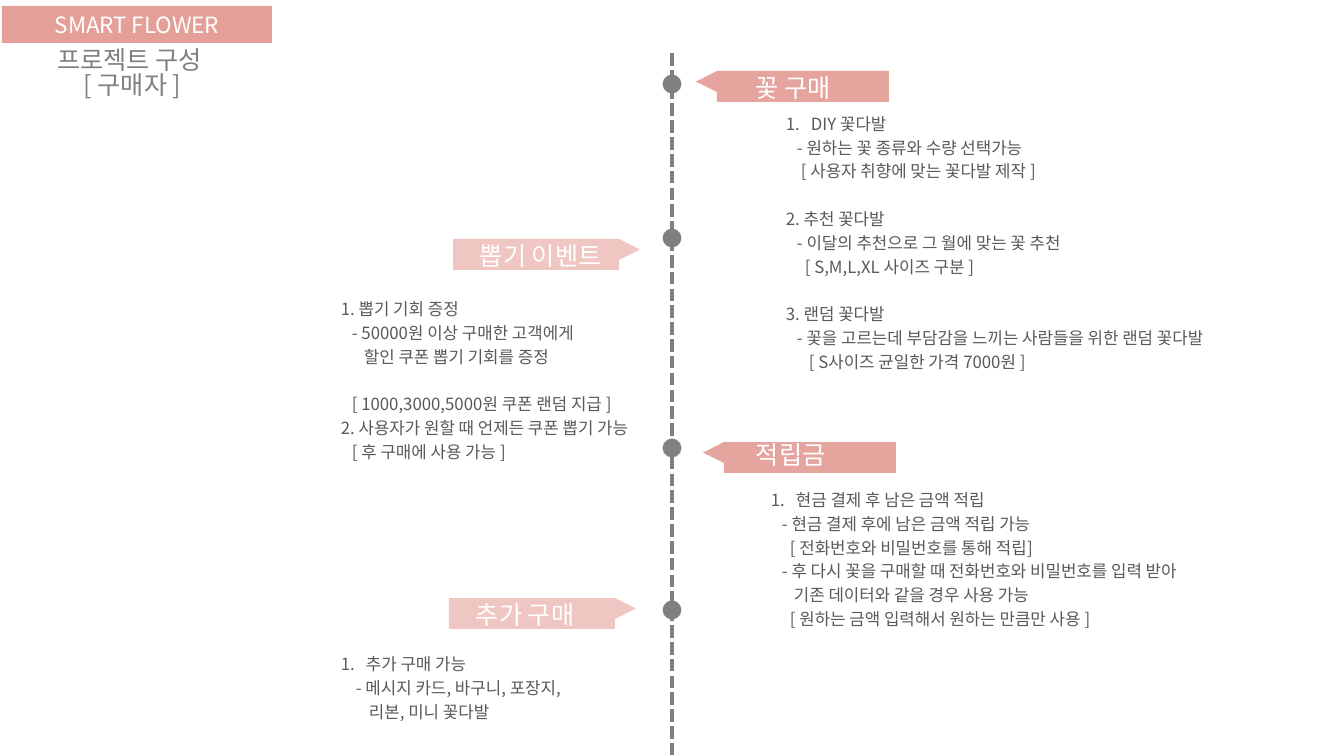
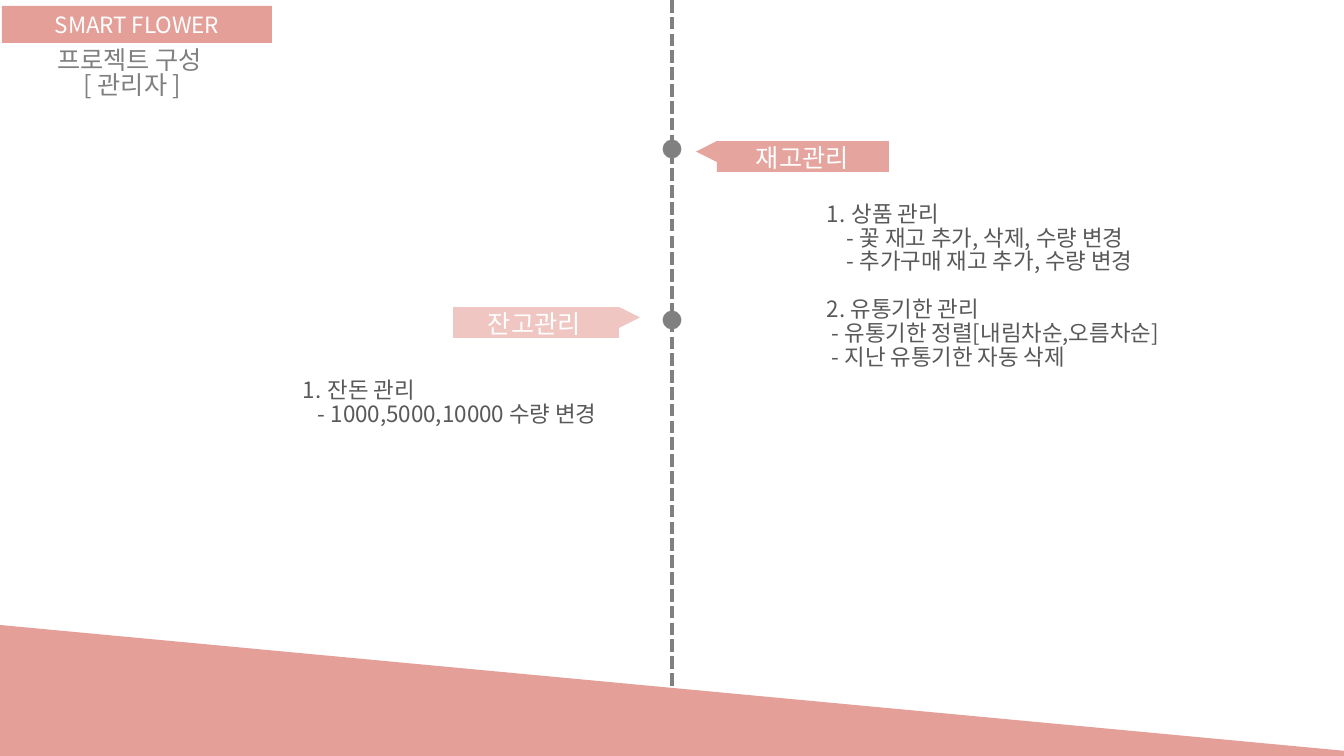
import collections

import pptx
import pptx.dml.color
import pptx.enum.dml
import pptx.enum.shapes
import pptx.enum.text
import pptx.oxml
import pptx.oxml.ns
import pptx.util

WIDTH, HEIGHT = 1344, 756
SCALE = 12192000 / WIDTH
TIMELINE_X = 672
FONT = "Noto Sans CJK KR"
COLORS = {
    "rose": "E4A098",
    "blush": "EFC6C1",
    "gray": "808080",
    "body": "595959",
    "white": "FFFFFF",
}
SHAPES = pptx.enum.shapes.MSO_SHAPE
ALIGN = pptx.enum.text.PP_ALIGN
ANCHOR = pptx.enum.text.MSO_ANCHOR
FIT = pptx.enum.text.MSO_AUTO_SIZE.SHAPE_TO_FIT_TEXT

FIXED_LINES = {"line_spacing": pptx.util.Pt(17)}
TITLE_LINES = {"alignment": ALIGN.CENTER, "line_spacing": 0.82}
BRAND_LINES = {"alignment": ALIGN.CENTER}

# indent shifts the first row only; numbered starts an automatic list; gap leaves a row free above
Line = collections.namedtuple("Line", "text indent numbered gap", defaults=(0, False, False))

PURCHASE = [
    Line("DIY 꽃다발", numbered=True),
    Line("- 원하는 꽃 종류와 수량 선택가능", 11),
    Line("[ 사용자 취향에 맞는 꽃다발 제작 ]", 15),
    Line("2. 추천 꽃다발", gap=True),
    Line("- 이달의 추천으로 그 월에 맞는 꽃 추천", 11),
    Line("[ S,M,L,XL 사이즈 구분 ]", 19),
    Line("3. 랜덤 꽃다발", gap=True),
    Line("- 꽃을 고르는데 부담감을 느끼는 사람들을 위한 랜덤 꽃다발", 11),
    Line("[ S사이즈 균일한 가격 7000원 ]", 23),
]
DRAW_EVENT = [
    Line("1. 뽑기 기회 증정"),
    Line("- 50000원 이상 구매한 고객에게", 11),
    Line("할인 쿠폰 뽑기 기회를 증정", 23),
    Line("[ 1000,3000,5000원 쿠폰 랜덤 지급 ]", 11, gap=True),
    Line("2. 사용자가 원할 때 언제든 쿠폰 뽑기 가능"),
    Line("[ 후 구매에 사용 가능 ]", 11),
]
SAVINGS = [
    Line("현금 결제 후 남은 금액 적립", numbered=True),
    Line("- 현금 결제 후에 남은 금액 적립 가능", 11),
    Line("[ 전화번호와 비밀번호를 통해 적립]", 19),
    Line("- 후 다시 꽃을 구매할 때 전화번호와 비밀번호를 입력 받아", 11),
    Line("기존 데이터와 같을 경우 사용 가능", 23),
    Line("[ 원하는 금액 입력해서 원하는 만큼만 사용 ]", 19),
]
EXTRA_PURCHASE = [
    Line("추가 구매 가능", numbered=True),
    Line("- 메시지 카드, 바구니, 포장지,", 15),
    Line("리본, 미니 꽃다발", 28),
]
STOCK = [
    Line("상품 관리", numbered=True),
    Line("- 꽃 재고 추가, 삭제, 수량 변경", 20),
    Line("- 추가구매 재고 추가, 수량 변경", 20),
    Line("2. 유통기한 관리", gap=True),
    Line("- 유통기한 정렬[내림차순,오름차순]", 5),
    Line("- 지난 유통기한 자동 삭제", 5),
]
CASH = [
    Line("잔돈 관리", numbered=True),
    Line("- 1000,5000,10000 수량 변경", 15),
]


def px(value):
    """Turn pixels into EMU."""
    return pptx.util.Emu(round(value * SCALE))


def rgb(name):
    """Look up a named colour."""
    return pptx.dml.color.RGBColor.from_string(COLORS[name])


def set_format(target, values):
    """Set each attribute in a dict of format values."""
    for name, value in values.items():
        setattr(target, name, value)


def xml(tag, **attributes):
    """Make a drawing element with the given attributes."""
    element = pptx.oxml.parse_xml(f"<a:{tag} {pptx.oxml.ns.nsdecls('a')}/>")
    for name, value in attributes.items():
        element.set(name, str(value))
    return element


def add_block(shapes, kind, box, color, opacity=100, rotation=0, outline=0):
    """Add a filled preset shape, outlined in its own colour if asked."""
    shape = shapes.add_shape(kind, *map(px, box))
    set_format(shape, {"rotation": rotation})
    shape.shadow.inherit = False
    shape.fill.solid()
    shape.fill.fore_color.rgb = rgb(color)
    if opacity < 100:
        fill_color = shape.element.spPr.find(".//" + pptx.oxml.ns.qn("a:srgbClr"))
        fill_color.append(xml("alpha", val=opacity * 1000))
    if outline:
        shape.line.color.rgb = rgb(color)
        shape.line.width = pptx.util.Pt(outline)
    else:
        shape.line.fill.background()
    return shape


def write_lines(frame, lines, size, color, line_format):
    """Write lines of one size and colour into a text frame."""
    frame.word_wrap = True
    for number, line in enumerate(lines):
        paragraph = frame.add_paragraph() if number else frame.paragraphs[0]
        set_format(paragraph, line_format)
        if line.gap:
            paragraph.space_before = pptx.util.Pt(17)
        properties = paragraph._p.get_or_add_pPr()
        if line.numbered:
            properties.set("marL", str(px(25)))
            properties.set("indent", str(px(-25)))
            properties.append(xml("buAutoNum", type="arabicPeriod"))
        elif line.indent:
            properties.set("marL", "0")
            properties.set("indent", str(px(line.indent)))
        run = paragraph.add_run()
        run.text = line.text
        set_format(run.font, {"size": pptx.util.Pt(size), "name": FONT})
        run.font.color.rgb = rgb(color)
        run.font._element.append(xml("ea", typeface=FONT))


def add_text(slide, box, lines, size=12, color="body", line_format=FIXED_LINES, fit=FIT):
    """Add a wrapped text box."""
    frame = slide.shapes.add_textbox(*map(px, box)).text_frame
    write_lines(frame, lines, size, color, line_format)
    if fit is not None:
        frame.auto_size = fit


def add_timeline(slide, top, bottom, stops):
    """Add the dashed centre line with a dot at each stop."""
    ends = map(px, (TIMELINE_X, top, TIMELINE_X, bottom))
    line = slide.shapes.add_connector(pptx.enum.shapes.MSO_CONNECTOR.STRAIGHT, *ends)
    line.line.color.rgb = rgb("gray")
    set_format(line.line, {
        "width": pptx.util.Pt(3),
        "dash_style": pptx.enum.dml.MSO_LINE.SQUARE_DOT,
    })
    line.element.spPr.append(xml("effectLst"))
    for stop in stops:
        add_block(slide.shapes, SHAPES.OVAL, (TIMELINE_X - 8, stop - 8, 16, 16), "gray", outline=2)


def add_banner(slide, left, top, label, label_left, label_drop=3):
    """Add a heading tag whose tip points at the timeline."""
    on_right = left > TIMELINE_X
    width = 172 if on_right else 166
    tip_left = left - 21 if on_right else left + width
    color, opacity = ("rose", 95) if on_right else ("blush", 100)
    shapes = slide.shapes.add_group_shape().shapes
    add_block(shapes, SHAPES.RECTANGLE, (left, top, width, 31), color, opacity)
    add_block(shapes, SHAPES.ISOSCELES_TRIANGLE, (tip_left, top, 21, 21), color, opacity,
              270 if on_right else 90)
    label_width = 261 if on_right else 173
    add_text(slide, (label_left, top + label_drop, label_width, 36), [Line(label)], 18, "white")


def add_header(slide, audience):
    """Add the band and the title that both slides share."""
    band = add_block(slide.shapes, SHAPES.RECTANGLE, (2, 6, 270, 37), "rose")
    band.text_frame.vertical_anchor = ANCHOR.MIDDLE
    write_lines(band.text_frame, [Line("SMART FLOWER")], 16, "white", BRAND_LINES)
    title = [Line("프로젝트 구성 "), Line(f"[ {audience} ]")]
    add_text(slide, (-18, 45, 301, 80), title, 18, "gray", TITLE_LINES, None)


def build_buyer(slide):
    """Build the slide on what a buyer can do."""
    add_timeline(slide, 53, HEIGHT, (84, 238, 448, 610))
    add_header(slide, "구매자")
    add_banner(slide, 717, 71, "꽃 구매", 746)
    add_text(slide, (776, 105, 460, 274), PURCHASE)
    add_banner(slide, 453, 239, "뽑기 이벤트", 470)
    add_text(slide, (331, 290, 314, 178), DRAW_EVENT)
    add_banner(slide, 724, 442, "적립금", 746, -1)
    add_text(slide, (761, 481, 460, 154), SAVINGS)
    add_banner(slide, 449, 598, "추가 구매", 466)
    add_text(slide, (331, 645, 357, 83), EXTRA_PURCHASE)


def build_manager(slide):
    """Build the slide on what a manager can do."""
    add_timeline(slide, 0, 700, (149, 320))
    add_banner(slide, 717, 141, "재고관리", 746)
    add_text(slide, (817, 198, 378, 204), STOCK, 16)
    add_banner(slide, 453, 307, "잔고관리", 478)
    add_block(slide.shapes, SHAPES.RIGHT_TRIANGLE, (-32, 622, 1432, 134), "rose")
    add_text(slide, (293, 374, 378, 83), CASH, 16)
    add_header(slide, "관리자")


def main():
    """Build and save the presentation."""
    presentation = pptx.Presentation()
    set_format(presentation, {"slide_width": px(WIDTH), "slide_height": px(HEIGHT)})
    for build in (build_buyer, build_manager):
        build(presentation.slides.add_slide(presentation.slide_layouts[6]))
    presentation.save("out.pptx")


main()
